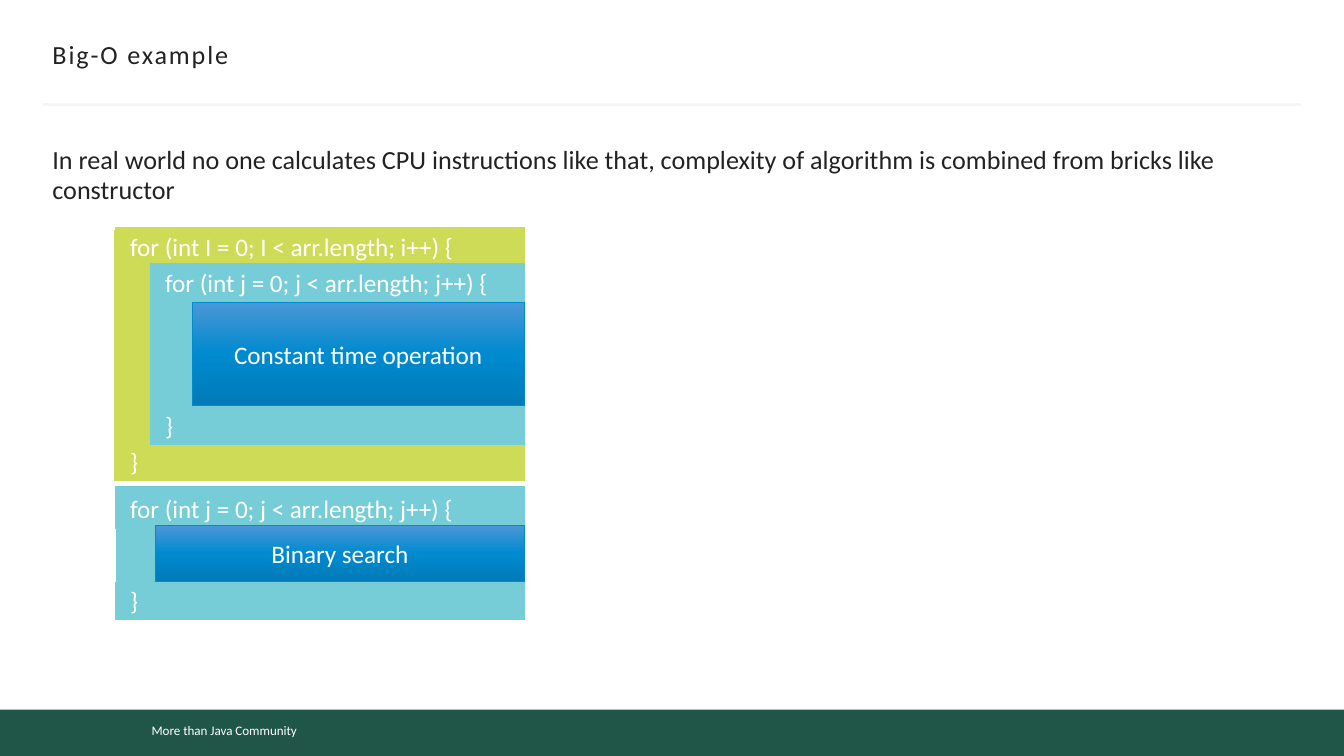
"""Build the Big-O example slide with nested code blocks."""
from copy import deepcopy

from pptx import Presentation
from pptx import util as u
from pptx.dml.color import RGBColor
from pptx.enum import shapes, text
from pptx.oxml import parse_xml
from pptx.oxml.ns import nsdecls, qn

COLORS = {
    "ink": "222222", "white": "FFFFFF", "footer": "205648", "rule": "F5F5F5",
    "lime": "CEDB56", "aqua": "76CDD8", "blue": "008ACF",
    "blue_top": "4B97D6", "blue_bottom": "007BB8",
}
FONT = "Calibri"
CODE_SIZE = 13.5
RIGHT = 3.9
SIDE_WIDTH = 0.29

TITLE = "Big-O example"
BODY = ("In real world no one calculates CPU instructions like that, "
        "complexity of algorithm is combined from bricks like constructor")
FOOTER = "More than Java Community"

LOOPS = [
    {"header": "for (int I = 0; I < arr.length; i++) {", "color": "lime", "outline": "white",
     "side": (0.84, 1.7, 1.89), "left": 0.87, "header_height": 0.27, "end": (3.3, 0.27)},
    {"header": "for (int j = 0; j < arr.length; j++) {", "color": "aqua", "outline": "aqua",
     "side": (1.13, 1.97, 1.33), "left": 1.13, "header_height": 0.27, "end": (3.03, 0.27),
     "operation": ("Constant time operation", 1.43, 2.25, 0.77)},
    {"header": "for (int j = 0; j < arr.length; j++) {", "color": "aqua", "outline": "aqua",
     "side": (0.87, 3.63, 0.95), "left": 0.87, "header_height": 0.3, "end": (4.34, 0.26),
     "operation": ("Binary search", 1.16, 3.91, 0.42)},
]


def rgb(name):
    return RGBColor.from_string(COLORS[name])


def write(shape, content, size, color, align=text.PP_ALIGN.LEFT, anchor=text.MSO_ANCHOR.MIDDLE):
    frame = shape.text_frame
    frame.text = content
    frame.word_wrap = True
    frame.vertical_anchor = anchor
    paragraph = frame.paragraphs[0]
    paragraph.alignment = align
    font = paragraph.runs[0].font
    font.name, font.size = FONT, u.Pt(size)
    font.color.rgb = rgb(color)
    return paragraph


def add_block(slide, left, top, width, height, color, outline=None, weight=1.5):
    shape = slide.shapes.add_shape(
        shapes.MSO_SHAPE.RECTANGLE, *map(u.Inches, (left, top, width, height)))
    shape.shadow.inherit = False
    shape.fill.solid()
    shape.fill.fore_color.rgb = rgb(color)
    if outline:
        shape.line.color.rgb = rgb(outline)
        shape.line.width = u.Pt(weight)
        line = shape._element.spPr.find(qn("a:ln"))
        line.append(parse_xml(f"<a:miter {nsdecls('a')} lim='800000'/>"))
    else:
        shape.line.fill.background()
    return shape


def apply_gradient(shape):
    fill = shape.fill
    fill.gradient()
    fill.gradient_angle = 270
    stop_list = shape._element.spPr.find(qn("a:gradFill")).find(qn("a:gsLst"))
    stop_list.insert(1, deepcopy(stop_list[0]))
    for stop, position, color in zip(
            fill.gradient_stops, (0, 0.5, 1), ("blue_top", "blue", "blue_bottom")):
        stop.position = position
        stop.color.rgb = rgb(color)


def add_loop(slide, loop):
    color, left = loop["color"], loop["left"]
    side_left, top, side_height = loop["side"]
    add_block(slide, side_left, top, SIDE_WIDTH, side_height, color, loop["outline"])
    rows = [(loop["header"], top, loop["header_height"]), ("}", *loop["end"])]
    for content, row_top, height in rows:
        row = add_block(slide, left, row_top, RIGHT - left, height, color, color)
        write(row, content, CODE_SIZE, "white")
    if "operation" in loop:
        content, left, top, height = loop["operation"]
        block = add_block(slide, left, top, RIGHT - left, height, "blue", "blue", 0.5)
        apply_gradient(block)
        write(block, content, CODE_SIZE, "white", text.PP_ALIGN.CENTER)


def add_frame(slide):
    add_block(slide, 0, 5.28, 10, 0.35, "footer")
    footer = add_block(slide, 1.03, 5.33, 2.65, 0.22, "footer")
    write(footer, FOOTER, 7, "white", anchor=text.MSO_ANCHOR.TOP)
    rule = slide.shapes.add_connector(
        shapes.MSO_CONNECTOR.STRAIGHT, *map(u.Inches, (0.32, 0.78, 9.68, 0.78)))
    rule.line.color.rgb = rgb("rule")
    rule.line.width = u.Pt(1.5)
    rule._element.spPr.append(parse_xml(f"<a:effectLst {nsdecls('a')}/>"))


def add_title(slide):
    title = slide.shapes.title
    title.left, title.top, title.width, title.height = map(u.Inches, (0.39, 0.25, 9.22, 0.33))
    paragraph = write(title, TITLE, 14, "ink")
    paragraph.line_spacing = 0.9
    paragraph.runs[0].font._element.set("spc", "100")
    frame = title.text_frame
    frame.auto_size = text.MSO_AUTO_SIZE.NONE
    frame.word_wrap = False
    frame.margin_left = frame.margin_right = 0


def add_body(slide):
    body = slide.shapes.add_textbox(*map(u.Inches, (0.39, 1.08, 8.9, 3.72)))
    paragraph = write(body, BODY, 14, "ink", anchor=text.MSO_ANCHOR.TOP)
    paragraph.line_spacing = u.Pt(16)
    paragraph.space_after = u.Pt(3)
    frame = body.text_frame
    frame.margin_left = frame.margin_right = frame.margin_top = frame.margin_bottom = 0


def main():
    presentation = Presentation()
    presentation.slide_width = u.Inches(10)
    presentation.slide_height = presentation.slide_width * 9 // 16
    slide = presentation.slides.add_slide(presentation.slide_layouts[5])
    add_frame(slide)
    add_title(slide)
    add_body(slide)
    for loop in LOOPS:
        add_loop(slide, loop)
    presentation.save("out.pptx")


if __name__ == "__main__":
    main()
